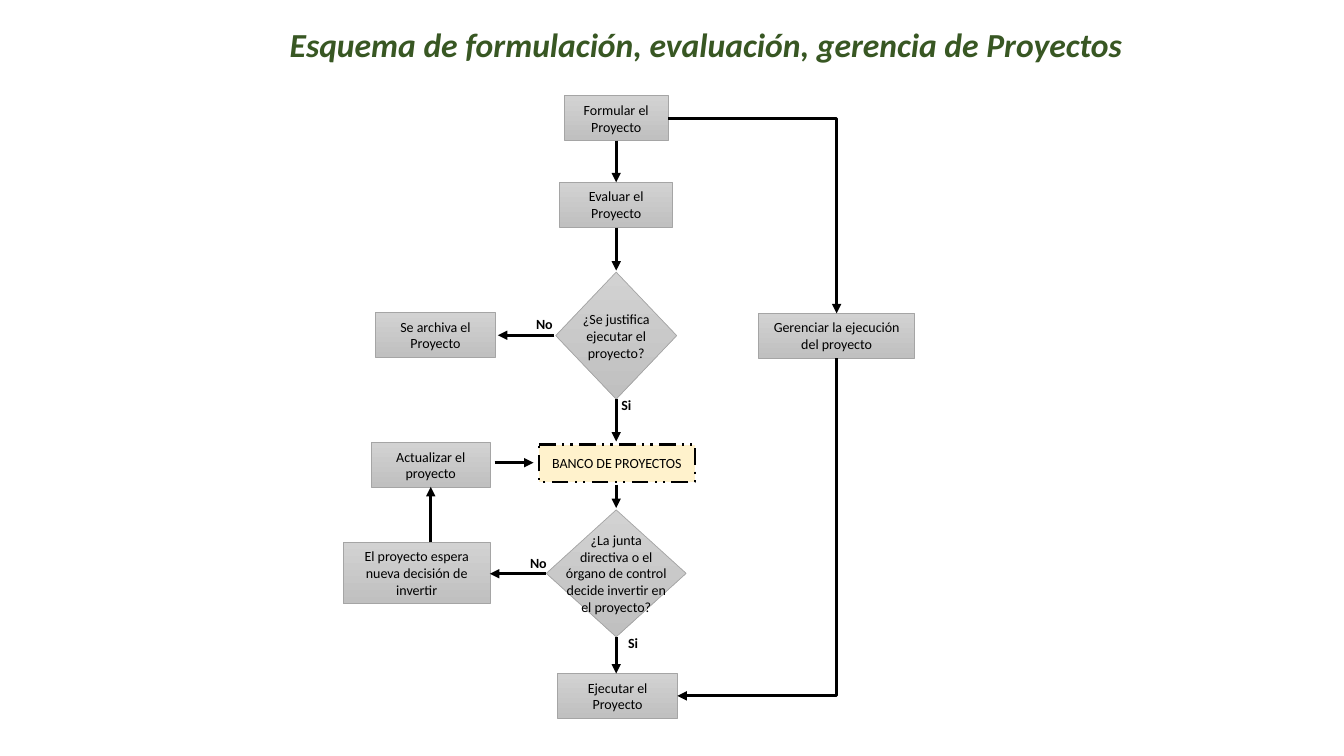
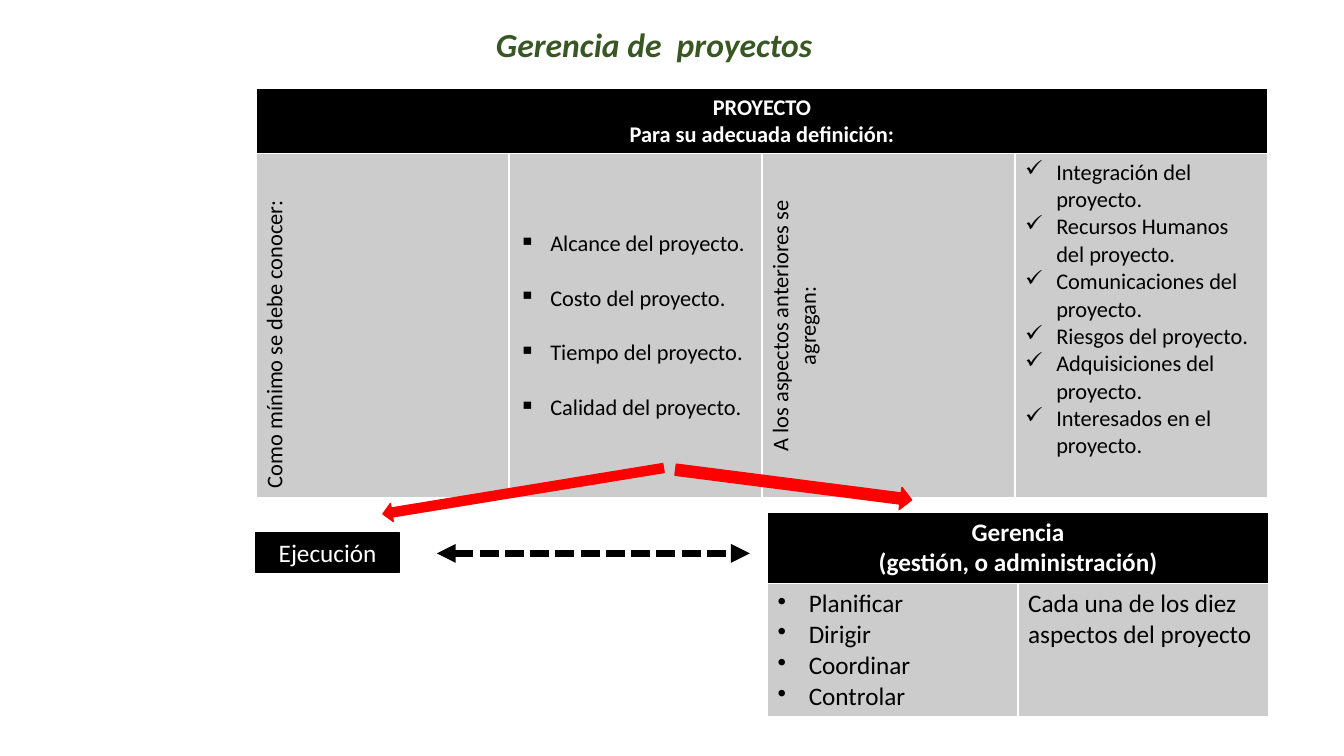
import lxml.etree
import pptx
import pptx.dml.color
import pptx.enum.dml
import pptx.enum.shapes
import pptx.enum.text
import pptx.oxml
import pptx.oxml.ns
import pptx.util

ALIGN = pptx.enum.text.PP_ALIGN
ANCHOR = pptx.enum.text.MSO_ANCHOR
DASH = pptx.enum.dml.MSO_LINE
SHAPE = pptx.enum.shapes.MSO_SHAPE
CONNECTOR = pptx.enum.shapes.MSO_CONNECTOR

# The grid has 100 columns and 100 rows.
WIDTH, HEIGHT = pptx.util.Inches(13.33), pptx.util.Inches(7.5)
FONT = "Calibri"
BLACK, WHITE, GREEN, RED = "000000", "FFFFFF", "385723", "FF0000"
CELL_GRAY, BOX_EDGE, BANK_YELLOW = "CCCCCC", "A5A5A5", "FFF2CC"
BOX_GRADIENT = ("D2D2D2", "C0C0C0")
MAIN_AXIS = 45.85
BOX_HEIGHT = 5.9
BULLET_INDENT = pptx.util.Inches(0.31)
RIGHT_SITE, TOP_SITE, BOTTOM_SITE = 3, 0, 2


def columns(count):
    return round(WIDTH * count / 100)


def rows(count):
    return round(HEIGHT * count / 100)


def place(left, top, width, height):
    return columns(left), rows(top), columns(width), rows(height)


def color(hex_string):
    return pptx.dml.color.RGBColor.from_string(hex_string)


def add_xml(parent, tag, **attributes):
    return lxml.etree.SubElement(parent, pptx.oxml.ns.qn(tag), **attributes)


def write_text(frame, text, size=10, hex_color=BLACK, bold=False, italic=False,
               align=ALIGN.LEFT, anchor=ANCHOR.MIDDLE, wrap=True, bullet=None, gap=0):
    """Write each line of text as a paragraph; gap is the space between them in points."""
    frame.word_wrap = wrap
    frame.vertical_anchor = anchor
    for index, line in enumerate(text.split("\n")):
        paragraph = frame.add_paragraph() if index else frame.paragraphs[0]
        paragraph.alignment = align
        if index and gap:
            paragraph.space_before = pptx.util.Pt(gap)
        if bullet:
            properties = paragraph._p.get_or_add_pPr()
            properties.set("marL", str(BULLET_INDENT))
            properties.set("indent", str(-BULLET_INDENT))
            add_xml(properties, "a:buChar", char=bullet)
        run = paragraph.add_run()
        run.text = line
        font = run.font
        font.name, font.size = FONT, pptx.util.Pt(size)
        font.bold, font.italic = bold, italic
        font.color.rgb = color(hex_color)


def add_slide(presentation, title, left, width):
    slide = presentation.slides.add_slide(presentation.slide_layouts[5])
    shape = slide.shapes.title
    shape.left, shape.top, shape.width, shape.height = place(left, 2.5, width, 6.7)
    shape.text_frame.auto_size = pptx.enum.text.MSO_AUTO_SIZE.NONE
    write_text(shape.text_frame, title, size=24, hex_color=GREEN, bold=True,
               italic=True, anchor=ANCHOR.TOP, wrap=False)
    return slide


def add_shape(slide, kind, box, fill, edge, edge_width=1, dash=None):
    """Draw a preset shape; fill is one colour or a pair from top to bottom."""
    shape = slide.shapes.add_shape(kind, *place(*box))
    shape.shadow.inherit = False
    if isinstance(fill, tuple):
        shape.fill.gradient()
        shape.fill.gradient_angle = 270
        for stop, hex_string in zip(shape.fill.gradient_stops, fill):
            stop.color.rgb = color(hex_string)
    else:
        shape.fill.solid()
        shape.fill.fore_color.rgb = color(fill)
    shape.line.color.rgb = color(edge)
    shape.line.width = pptx.util.Pt(edge_width)
    if dash:
        shape.line.dash_style = dash
    return shape


def add_label(slide, text, box, **text_format):
    write_text(slide.shapes.add_textbox(*place(*box)).text_frame, text, **text_format)


def add_step(slide, text, center, top, width, height=BOX_HEIGHT):
    box = (center - width / 2, top, width, height)
    shape = add_shape(slide, SHAPE.RECTANGLE, box, BOX_GRADIENT, BOX_EDGE, 0.5)
    write_text(shape.text_frame, text, align=ALIGN.CENTER)
    return shape


def add_decision(slide, text, top, width, height=16.8, text_width=9):
    """Draw a diamond with a label wider than the diamond's own text area."""
    box = (MAIN_AXIS - width / 2, top, width, height)
    add_shape(slide, SHAPE.FLOWCHART_DECISION, box, BOX_GRADIENT, BOX_EDGE, 0.5)
    add_label(slide, text, (MAIN_AXIS - text_width / 2, top, text_width, height),
              align=ALIGN.CENTER)


def style_connector(connector, width=2.25, dash=None, ends=("a:tailEnd",)):
    connector.line.color.rgb = color(BLACK)
    connector.line.width = pptx.util.Pt(width)
    if dash:
        connector.line.dash_style = dash
    line = connector.line._get_or_add_ln()
    for end in ends:
        add_xml(line, end, type="triangle")
    add_xml(connector._element.spPr, "a:effectLst")


def add_arrow(slide, start, end, **line_format):
    connector = slide.shapes.add_connector(
        CONNECTOR.STRAIGHT, columns(start[0]), rows(start[1]), columns(end[0]), rows(end[1]))
    style_connector(connector, **line_format)


def add_corner_arrow(slide, side_shape, end_shape, end_site, arrow_end):
    """Leave side_shape to the right and turn once to reach end_shape."""
    connector = slide.shapes.add_connector(CONNECTOR.ELBOW, 0, 0, 0, 0)
    connector.begin_connect(side_shape, RIGHT_SITE)
    connector.end_connect(end_shape, end_site)
    connector._element.spPr.find(pptx.oxml.ns.qn("a:prstGeom")).set("prst", "bentConnector2")
    style_connector(connector, ends=(arrow_end,))


def add_table(slide, box, row_heights, header, cells, size):
    """Draw a merged header row above one row of (text, vertical, format) cells."""
    shape = slide.shapes.add_table(2, len(cells), *place(*box))
    table = shape.table
    table.horz_banding = False
    for row, height in zip(table.rows, row_heights):
        row.height = rows(height)
    for cell in table.iter_cells():
        cell.fill.solid()
        cell.fill.fore_color.rgb = color(CELL_GRAY)
    heading = table.cell(0, 0)
    heading.merge(table.cell(0, len(cells) - 1))
    heading.fill.fore_color.rgb = color(BLACK)
    write_cell(heading, header, size=size, hex_color=WHITE, bold=True,
               align=ALIGN.CENTER, anchor=ANCHOR.TOP)
    for index, (text, vertical, text_format) in enumerate(cells):
        cell = table.cell(1, index)
        write_cell(cell, text, size=size, **text_format)
        if vertical:
            cell._tc.get_or_add_tcPr().set("vert", "vert270")


def write_cell(cell, text, anchor=ANCHOR.MIDDLE, **text_format):
    write_text(cell.text_frame, text, **text_format)
    cell.vertical_anchor = anchor


def build_flow_slide(presentation):
    slide = add_slide(presentation, "Esquema de formulación, evaluación, gerencia de Proyectos",
                      20.8, 63.7)
    formulate = add_step(slide, "Formular el Proyecto", MAIN_AXIS, 12.67, 7.75)
    add_step(slide, "Evaluar el Proyecto", MAIN_AXIS, 24.13, 8.4)
    add_step(slide, "Se archiva el Proyecto", 32.4, 41.35, 8.9)
    manage = add_step(slide, "Gerenciar la ejecución del proyecto", 62.25, 41.45, 11.6)
    add_step(slide, "Actualizar el proyecto", 32.05, 58.55, 8.9)
    add_step(slide, "El proyecto espera nueva decisión de invertir", 31, 71.75, 10.9, 8.1)
    execute = add_step(slide, "Ejecutar el Proyecto", 45.95, 89.1, 8.9)
    bank = add_shape(slide, SHAPE.FLOWCHART_PROCESS, (40.1, 58.8, 11.6, 4.95), BANK_YELLOW,
                     BLACK, 1.5, DASH.DASH_DOT_DOT)
    write_text(bank.text_frame, "BANCO DE PROYECTOS", align=ALIGN.CENTER)
    add_decision(slide, "¿Se justifica ejecutar el proyecto?", 36, 9)
    add_decision(slide, "¿La junta directiva o el órgano de control decide invertir en el proyecto?",
                 67.45, 10.4)

    for top, bottom in ((18.6, 24.1), (30.1, 35.8), (52.8, 58.4), (64.1, 67.2), (84.3, 89.1)):
        add_arrow(slide, (MAIN_AXIS, top), (MAIN_AXIS, bottom))
    for row, start, end in ((44.35, 41.25, 37.05), (75.9, 40.65, 36.45), (61.2, 36.8, 39.7)):
        add_arrow(slide, (start, row), (end, row))
    add_arrow(slide, (32.05, 71.75), (32.05, 64.4))
    add_corner_arrow(slide, formulate, manage, TOP_SITE, "a:tailEnd")
    add_corner_arrow(slide, execute, manage, BOTTOM_SITE, "a:headEnd")

    for answer, left, top in (("Si", 45.5, 51.75), ("No", 39.15, 41.05),
                              ("No", 38.7, 72.7), ("Si", 46, 83.2)):
        add_label(slide, answer, (left, top, 2.8, 3.6), bold=True, wrap=False)


def build_management_slide(presentation):
    slide = add_slide(presentation, "Gerencia de  proyectos", 36.15, 26.7)
    top_list = {"anchor": ANCHOR.TOP}
    add_table(slide, (19.05, 11.75, 75.3, 53.8), (8.3, 45.5),
              "PROYECTO\nPara su adecuada definición:", [
                  ("Como mínimo se debe conocer:", True, {}),
                  ("Alcance del proyecto.\nCosto del proyecto.\n"
                   "Tiempo del proyecto.\nCalidad del proyecto.",
                   False, {"bullet": "▪", "gap": 19.5}),
                  ("A los aspectos anteriores se agregan:", True, {"align": ALIGN.CENTER}),
                  ("Integración del proyecto.\nRecursos Humanos del proyecto.\n"
                   "Comunicaciones del proyecto.\nRiesgos del proyecto.\n"
                   "Adquisiciones del proyecto.\nInteresados en el proyecto.",
                   False, {"bullet": "✓", **top_list}),
              ], size=16)
    execution = add_shape(slide, SHAPE.RECTANGLE, (19.05, 70.4, 10.65, 5.35), BLACK, BLACK)
    write_text(execution.text_frame, "Ejecución", size=18, hex_color=WHITE, align=ALIGN.CENTER)
    add_table(slide, (57.1, 67.75, 37.3, 26.3), (9.1, 17.2),
              "Gerencia\n(gestión, o administración)", [
                  ("Planificar\nDirigir\nCoordinar\nControlar", False,
                   {"bullet": "•", **top_list}),
                  ("Cada una de los diez aspectos del proyecto", False, top_list),
              ], size=18)
    for box, rotation in (((28.35, 63.75, 21.15, 2.4), 350.7), ((50.2, 62.65, 17.7, 2.95), 187.3)):
        add_shape(slide, SHAPE.LEFT_ARROW, box, RED, RED).rotation = rotation
    add_arrow(slide, (32.5, 73.2), (55.8, 73.2), width=4.5, dash=DASH.SQUARE_DOT,
              ends=("a:headEnd", "a:tailEnd"))


def main():
    presentation = pptx.Presentation()
    presentation.slide_width, presentation.slide_height = WIDTH, HEIGHT
    build_flow_slide(presentation)
    build_management_slide(presentation)
    presentation.save("out.pptx")


if __name__ == "__main__":
    main()
